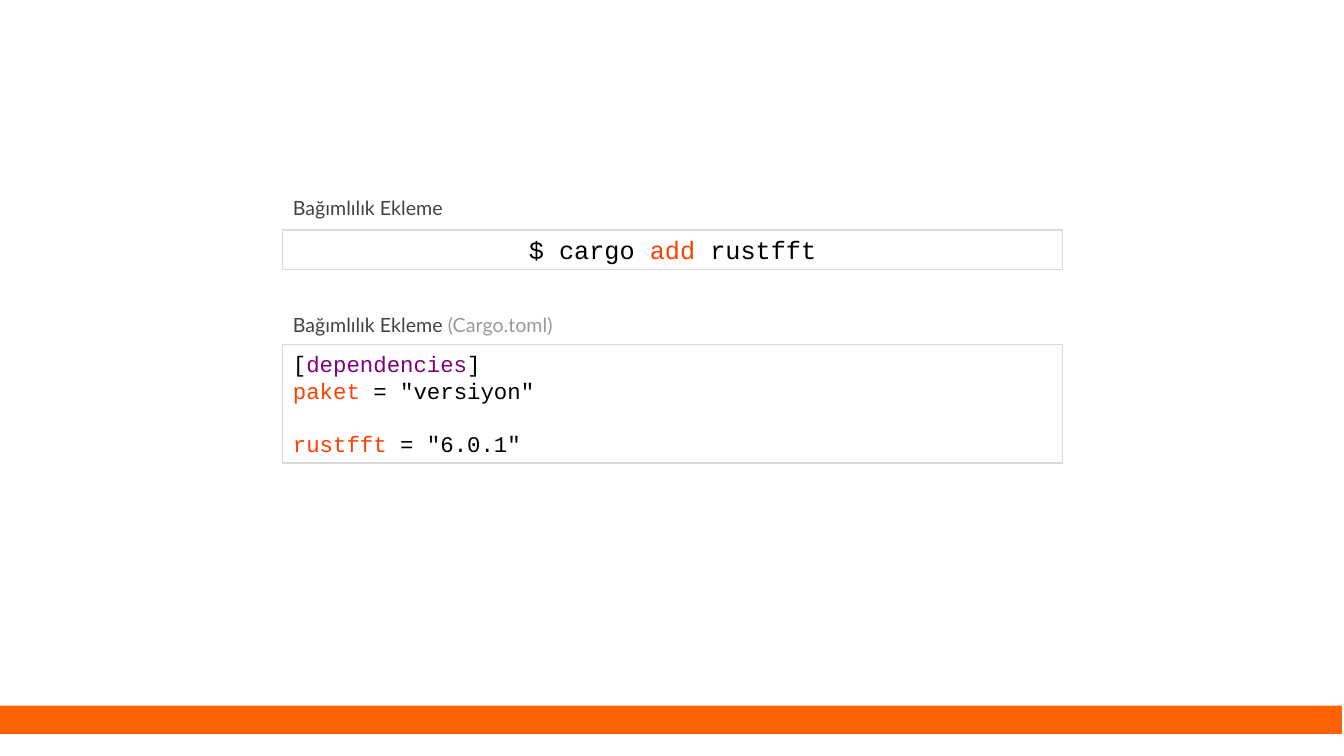
import pptx
import pptx.dml.color
import pptx.enum.shapes
import pptx.enum.text
import pptx.util

PX = 9525  # EMU per px, 96 px to the inch

THEME = {
    "code_font": "Courier New", "label_font": "Lato",
    "label_size": 14, "command_size": 18, "code_size": 16,
    "white": "FFFFFF", "border": "D9D9D9", "bar": "FF6200",
    "label": "434343", "muted": "999999",
    "code": "000000", "name": "FF4000", "section": "800080",
}
LEFT, WIDTH = 269, 743
ALIGN = pptx.enum.text.PP_ALIGN


def color(name):
    return pptx.dml.color.RGBColor.from_string(THEME[name])


def write(shape, lines, kind, font, align):
    """Fill a shape with lines of (text, colour name) runs."""
    frame = shape.text_frame
    frame.word_wrap = True
    frame.margin_left = frame.margin_right = 10 * PX
    for index, runs in enumerate(lines):
        paragraph = frame.paragraphs[0] if index == 0 else frame.add_paragraph()
        paragraph.alignment = align
        paragraph.font.name = THEME[font]
        paragraph.font.size = pptx.util.Pt(THEME[kind])
        for text, color_name in runs:
            run = paragraph.add_run()
            run.text = text
            run.font.color.rgb = color(color_name)


presentation = pptx.Presentation()
presentation.slide_width = 1280 * PX
presentation.slide_height = 720 * PX
slide = presentation.slides.add_slide(presentation.slide_layouts[6])

# Bottom bar and the two code frames
rectangles = []
for left, top, width, height, fill, line in [
    (-2, 672, 1280, 27, "bar", None),
    (LEFT, 219, WIDTH, 38, "white", "border"),
    (LEFT, 328, WIDTH, 113, "white", "border"),
]:
    shape = slide.shapes.add_shape(
        pptx.enum.shapes.MSO_SHAPE.RECTANGLE,
        left * PX, top * PX, width * PX, height * PX)
    shape.shadow.inherit = False
    shape.fill.solid()
    shape.fill.fore_color.rgb = color(fill)
    if line:
        shape.line.color.rgb = color(line)
        shape.line.width = pptx.util.Pt(1)
    else:
        shape.line.fill.background()
    rectangles.append(shape)
bar, command_box, toml_box = rectangles

# Shell command
write(command_box, [[("$ cargo ", "code"), ("add", "name"), (" rustfft", "code")]],
      "command_size", "code_font", ALIGN.CENTER)

# Cargo.toml listing, with a one-line gap before the last entry
write(toml_box, [
    [("[", "code"), ("dependencies", "section"), ("]", "code")],
    [("paket", "name"), (' = "versiyon"', "code")],
    [("rustfft", "name"), (' = "6.0.1"', "code")],
], "code_size", "code_font", ALIGN.LEFT)
toml_box.text_frame.paragraphs[-1].space_before = pptx.util.Pt(19)

# Labels above the frames
for top, width, runs in [
    (177, WIDTH, [("Bağımlılık Ekleme", "label")]),
    (288, 415, [("Bağımlılık Ekleme ", "label"), ("(Cargo.toml)", "muted")]),
]:
    label = slide.shapes.add_textbox(LEFT * PX, top * PX, width * PX, 41 * PX)
    label.text_frame.margin_top = label.text_frame.margin_bottom = 10 * PX
    write(label, [runs], "label_size", "label_font", ALIGN.LEFT)

presentation.save("out.pptx")
